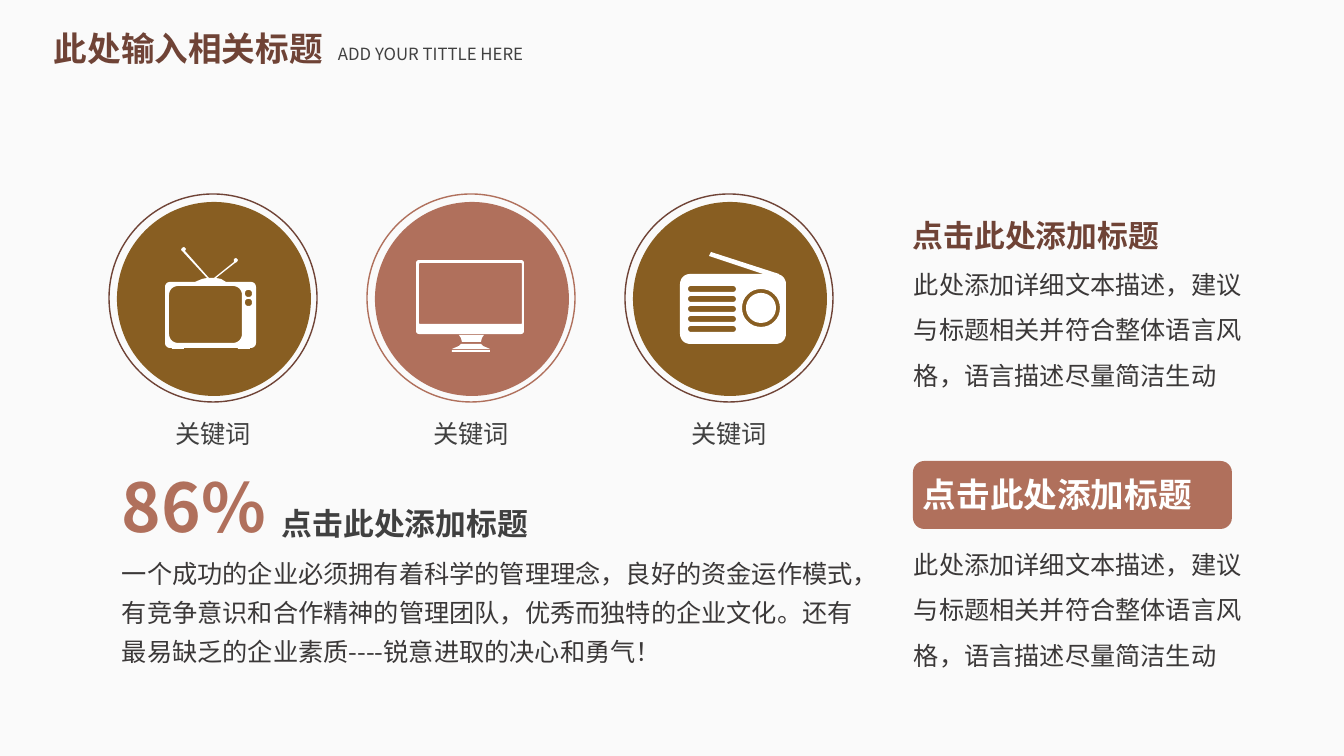
import math
from lxml import etree
from pptx import Presentation
from pptx import util as u
from pptx.dml.color import RGBColor
from pptx.enum import shapes, text
from pptx.oxml.ns import qn

PX = 914400 / 100.8
FONT = "Noto Sans CJK SC"
BROWN, ROSE, OCHRE = "6F4336", "B0705C", "885E22"
DARK, GREY, WHITE = "3B3838", "404040", "FFFFFF"
CORNER_STEPS = 9


def px(value):
    return u.Emu(round(value * PX))


def rounded(left, top, width, height, radius):
    """Points of a rounded rectangle, clockwise from its left side."""
    right, bottom = left + width, top + height
    centres = [(left + radius, top + radius), (right - radius, top + radius),
               (right - radius, bottom - radius), (left + radius, bottom - radius)]
    points = []
    for corner, (x, y) in enumerate(centres):
        for step in range(CORNER_STEPS):
            angle = math.radians(180 + 90 * (corner + step / (CORNER_STEPS - 1)))
            points.append((x + radius * math.cos(angle), y + radius * math.sin(angle)))
    return points


deck = Presentation()
deck.slide_width, deck.slide_height = px(1344), px(756)
page = deck.slides.add_slide(deck.slide_layouts[6])
page.background.fill.solid()
page.background.fill.fore_color.rgb = RGBColor.from_string("FAFAFA")

# Preset shapes: kind, place, fill, line
OVAL = shapes.MSO_SHAPE.OVAL
presets = [(shapes.MSO_SHAPE.ROUNDED_RECTANGLE, (913, 461, 319, 68), ROSE, None)]
ring_lefts = [109 + 258 * i for i in range(3)]
for left, ring, disc in zip(ring_lefts, (BROWN, ROSE, BROWN), (OCHRE, ROSE, OCHRE)):
    presets.append((OVAL, (left, 194, 208, 208), None, ring))
    presets.append((OVAL, (left + 8, 202, 194, 194), disc, None))
presets.append((shapes.MSO_SHAPE.RECTANGLE, (452, 350, 38, 2), WHITE, None))

for kind, place, fill, line in presets:
    shape = page.shapes.add_shape(kind, *map(px, place))
    shape.shadow.inherit = False
    if fill:
        shape.fill.solid()
        shape.fill.fore_color.rgb = RGBColor.from_string(fill)
    else:
        shape.fill.background()
    if line:
        shape.line.color.rgb = RGBColor.from_string(line)
        shape.line.width = u.Pt(1)
    else:
        shape.line.fill.background()

# Television: body with antennas and feet, then screen and two knobs
body = rounded(165, 282, 91, 66, 5)
antennas = [(195, 282), (202, 279), (207, 278), (183, 252), (181, 250), (182, 248),
            (184, 247), (186, 249), (185, 251), (209, 278), (214, 278), (234, 262),
            (234, 259), (236, 258), (238, 260), (237, 262), (235, 263), (216, 278),
            (221, 279), (226, 282)]
feet = [(250, 348), (250, 349), (238, 349), (238, 348),
        (184, 348), (184, 349), (172, 349), (172, 348)]
n = CORNER_STEPS
television = [body[:n] + antennas + body[n:3 * n] + feet + body[3 * n:],
              rounded(169, 286, 73, 57, 9),
              rounded(245, 290, 7, 7, 3), rounded(245, 299, 7, 7, 3)]

# Monitor: frame, neck and base
monitor = [rounded(416, 260, 108, 74, 3), rounded(419, 263, 103, 61, 1)]
neck = [[(459, 335), (484, 335), (482, 338), (481, 342), (462, 342), (461, 338)]]
base = [[(461, 344), (481, 344), (483, 346), (490, 349), (452, 349), (459, 346)]]

# Radio: case with five slots and a dial, then the aerial
radio = [rounded(680, 274, 106, 70, 10)]
radio += [rounded(688, 286 + 10 * i, 48, 6, 3) for i in range(5)]
radio += [rounded(742, 289, 38, 38, 19), rounded(746, 293, 30, 30, 15)]
aerial = [[(709, 256), (778, 279), (779, 274), (711, 252)]]

for contours in (television, base, neck, monitor, radio, aerial):
    tenths = [[(10 * x, 10 * y) for x, y in points] for points in contours]
    builder = page.shapes.build_freeform(*tenths[0][0], scale=PX / 10)
    builder.add_line_segments(tenths[0][1:], close=True)
    for hole in tenths[1:]:
        builder.move_to(*hole[0])
        builder.add_line_segments(hole[1:], close=True)
    icon = builder.convert_to_shape()
    icon.shadow.inherit = False
    icon.fill.solid()
    icon.fill.fore_color.rgb = RGBColor.from_string(WHITE)
    icon.line.fill.background()

# Texts: wording, place, size, bold, colour, insets, frame format, paragraph format
DESCRIPTION = "此处添加详细文本描述，建议与标题相关并符合整体语言风格，语言描述尽量简洁生动"
STORY = ("一个成功的企业必须拥有着科学的管理理念，良好的资金运作模式，"
         "有竞争意识和合作精神的管理团队，优秀而独特的企业文化。"
         "还有最易缺乏的企业素质----锐意进取的决心和勇气！")
HEADING = "点击此处添加标题"
PLAIN, WIDE, NONE = (10, 5), (12, 6), (0, 0)
MIDDLE = {"vertical_anchor": text.MSO_ANCHOR.MIDDLE}
CENTRED = {"alignment": text.PP_ALIGN.CENTER}
EXACT = {"line_spacing": u.Pt(42.5)}
texts = [
    ("此处输入相关标题", (44, 23, 307, 50), 24, True, BROWN, PLAIN, {}, {}),
    ("ADD YOUR TITTLE HERE", (328, 39, 281, 30), 12, False, GREY, PLAIN, {}, {}),
    (HEADING, (913, 197, 260, 53), 22, True, BROWN, NONE, MIDDLE, EXACT),
    (HEADING, (913, 469, 312, 50), 24, True, WHITE, PLAIN, {}, {}),
    ("86%", (89, 460, 210, 92), 48, True, ROSE, PLAIN, {}, CENTRED),
    (HEADING, (282, 485, 260, 53), 22, True, GREY, NONE, MIDDLE, EXACT),
    (STORY, (110, 543, 772, 131), 18, False, DARK, WIDE, {}, {"line_spacing": 1.3}),
]
for top in (248, 528):
    texts.append((DESCRIPTION, (902, top, 353, 149), 18, False, DARK, WIDE, {},
                  {"line_spacing": 1.5}))
for left in ring_lefts:
    texts.append(("关键词", (left + 30, 413, 148, 40), 18, False, GREY, PLAIN, {}, CENTRED))

for wording, place, size, bold, colour, (side, edge), frame_format, para_format in texts:
    box = page.shapes.add_textbox(*map(px, place))
    frame = box.text_frame
    para = frame.paragraphs[0]
    span = para.add_run()
    span.text = wording
    span.font.color.rgb = RGBColor.from_string(colour)
    frame_values = {"word_wrap": True, "auto_size": text.MSO_AUTO_SIZE.SHAPE_TO_FIT_TEXT,
                    "margin_left": px(side), "margin_right": px(side),
                    "margin_top": px(edge), "margin_bottom": px(edge), **frame_format}
    font_values = {"size": u.Pt(size), "bold": bold, "name": FONT}
    for target, values in ((frame, frame_values), (para, para_format),
                           (span.font, font_values)):
        for name, value in values.items():
            setattr(target, name, value)
    # East Asian typeface
    etree.SubElement(span._r.get_or_add_rPr(), qn("a:ea")).set("typeface", FONT)

deck.save("out.pptx")
